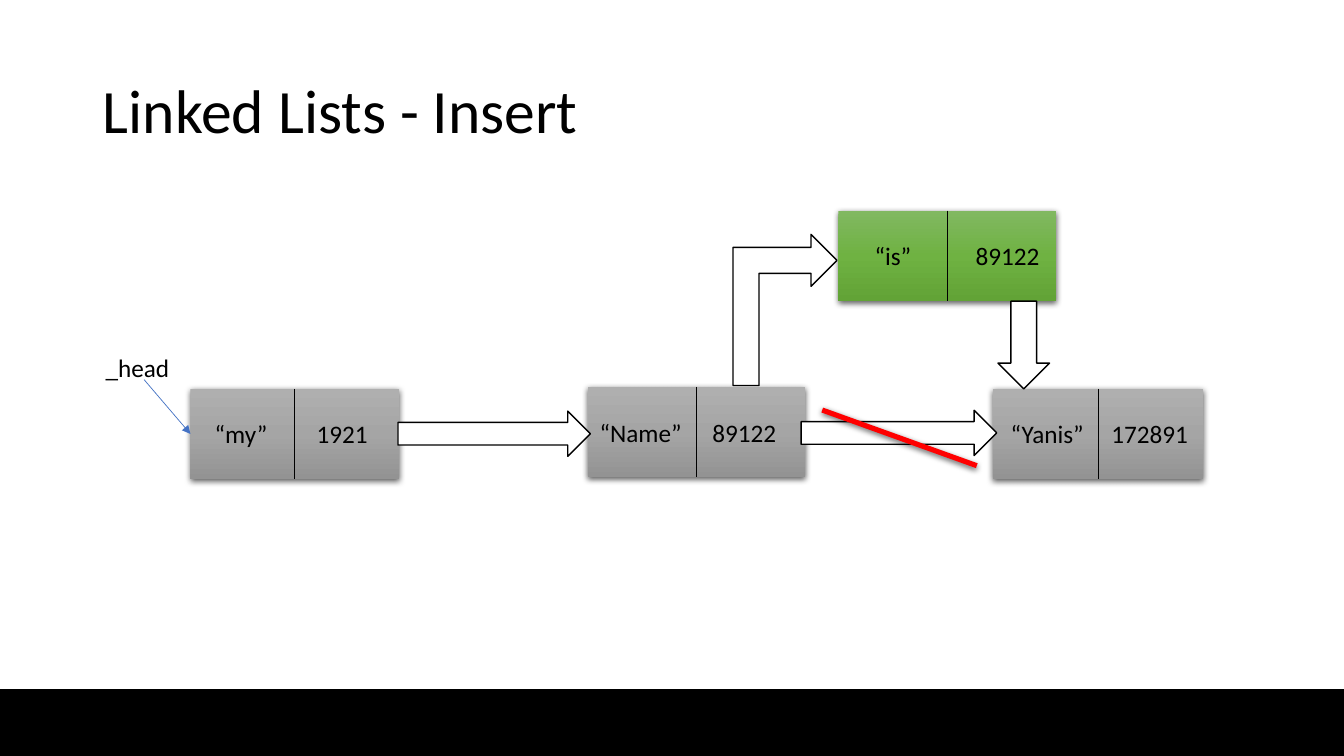
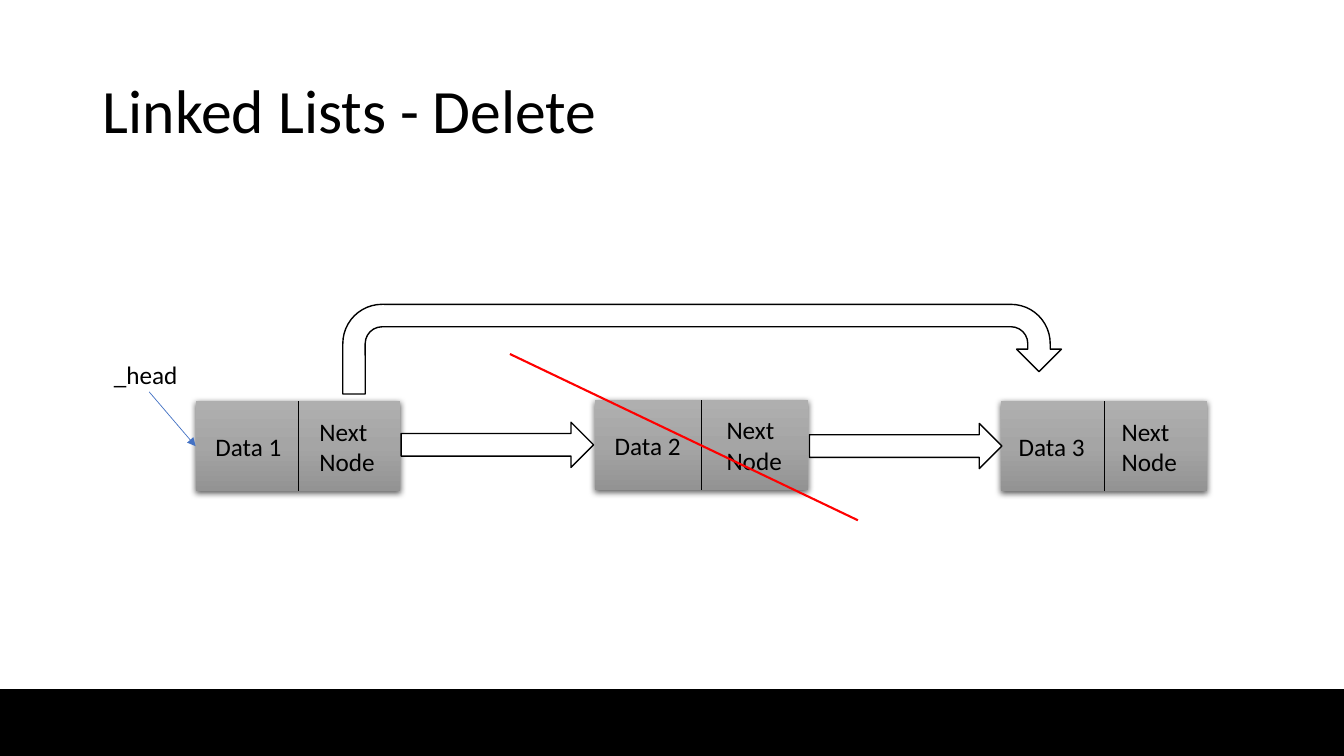
import pptx
import pptx.dml.color
import pptx.enum.shapes
import pptx.enum.text
import pptx.oxml
import pptx.oxml.ns
import pptx.util

Cm = pptx.util.Cm
Pt = pptx.util.Pt
SHAPES = pptx.enum.shapes.MSO_SHAPE
qn = pptx.oxml.ns.qn
NAMESPACE = pptx.oxml.ns.nsdecls("a")

FONT = "Calibri"
COLOURS = {"ink": "000000", "paper": "FFFFFF", "pointer": "4472C4", "strike": "FF0000"}
GRADIENTS = {
    "grey": ("AFAFAF", "A5A5A5", "939393"),
    "green": ("81B861", "6FB242", "62A336"),
}

# All lengths are centimetres.
SLIDE_SIZE = (33.87, 19.05)
TITLE_BOX = (2.34, 1.02, 29.21, 3.68)
BAND_BOX = (0, 17.37, 33.87, 1.68)
NODE_HEIGHT = 2.27
POINTER_RUN = (1.17, 1.37)
HEAD_LABEL_SIZE = (3.86, 1.02)

# nodes: left, top, width, gradient, ((text, indent) for each half)
# arrows: preset shape, box, rotation, flipped
SLIDES = [
    {
        "title": "Linked Lists - Insert",
        "head_label": (2.41, 8.74),
        "nodes": [
            (4.8, 9.8, 5.26, "grey", (("“my”", 0.36), ("1921", 0.3))),
            (14.81, 9.75, 5.49, "grey", (("“Name”", 0.05), ("89122", 0.15))),
            (25.02, 9.8, 5.31, "grey", (("“Yanis”", 0.2), ("172891", 0.08))),
            (21.13, 5.31, 5.49, "green", (("“is”", 0.66), ("89122", 0.46))),
        ],
        "arrows": [
            (SHAPES.RIGHT_ARROW, (10.03, 10.36, 4.85, 1.14), 0, False),
            (SHAPES.RIGHT_ARROW, (20.19, 10.34, 4.93, 1.14), 0, False),
            (SHAPES.BENT_UP_ARROW, (17.88, 6.5, 3.81, 2.62), 90, True),
            (SHAPES.DOWN_ARROW, (25.15, 7.59, 1.3, 2.21), 0, False),
        ],
        "strike_bar": ((20.6, 10.97, 4.14, 0.13), 19.8),
    },
    {
        "title": "Linked Lists - Delete",
        "head_label": (2.62, 8.92),
        "nodes": [
            (4.93, 10.11, 5.16, "grey", (("Data 1", 0.25), ("Next Node", 0.29))),
            (14.99, 10.08, 5.38, "grey", (("Data 2", 0.25), ("Next Node", 0.38))),
            (25.22, 10.11, 5.21, "grey", (("Data 3", 0.2), ("Next Node", 0.19))),
        ],
        "arrows": [
            (SHAPES.RIGHT_ARROW, (10.11, 10.64, 4.85, 1.14), 0, False),
            (SHAPES.RIGHT_ARROW, (20.4, 10.67, 4.85, 1.14), 0, False),
            (SHAPES.U_TURN_ARROW, (8.64, 7.67, 18.11, 2.26), 0, False),
        ],
        "strike_line": (12.85, 8.92, 21.62, 13.11),
    },
]


def lengths(values):
    return [Cm(value) for value in values]


def rgb(name):
    return pptx.dml.color.RGBColor.from_string(COLOURS[name])


def style_text(paragraph, size):
    paragraph.font.name = FONT
    paragraph.font.size = Pt(size)
    paragraph.font.color.rgb = rgb("ink")


def add_block(slide, preset, box, fill, outline=None):
    shape = slide.shapes.add_shape(preset, *lengths(box))
    shape.shadow.inherit = False
    shape.fill.solid()
    shape.fill.fore_color.rgb = rgb(fill)
    if outline:
        shape.line.color.rgb = rgb(outline)
        shape.line.width = Pt(1)
    else:
        shape.line.fill.background()
    return shape


def add_shadow(shape):
    effects = shape.element.spPr.find(qn("a:effectLst"))
    effects.append(pptx.oxml.parse_xml(
        f'<a:outerShdw {NAMESPACE} blurRad="{Pt(4.5)}" dist="{Pt(1.5)}" dir="5400000" '
        f'algn="ctr" rotWithShape="0"><a:srgbClr val="{COLOURS["ink"]}">'
        '<a:alpha val="63000"/></a:srgbClr></a:outerShdw>'))


def fill_gradient(shape, colours):
    """Fill from top to bottom with three evenly spaced colours."""
    stops = "".join(
        f'<a:gs pos="{index * 50000}"><a:srgbClr val="{colour}"/></a:gs>'
        for index, colour in enumerate(colours))
    properties = shape.element.spPr
    properties.replace(properties.find(qn("a:solidFill")), pptx.oxml.parse_xml(
        f'<a:gradFill {NAMESPACE} rotWithShape="1"><a:gsLst>{stops}</a:gsLst>'
        '<a:lin ang="5400000" scaled="0"/></a:gradFill>'))


def add_line(slide, ends, colour, width, arrowhead=False):
    line = slide.shapes.add_connector(
        pptx.enum.shapes.MSO_CONNECTOR.STRAIGHT, *lengths(ends))
    line.line.color.rgb = rgb(colour)
    line.line.width = Pt(width)
    properties = line.element.spPr
    if arrowhead:
        properties.find(qn("a:ln")).append(
            pptx.oxml.parse_xml(f'<a:tailEnd {NAMESPACE} type="triangle"/>'))
    properties.append(pptx.oxml.parse_xml(f"<a:effectLst {NAMESPACE}/>"))


def add_label(slide, text, box):
    frame = slide.shapes.add_textbox(*lengths(box)).text_frame
    frame.word_wrap = True
    frame.vertical_anchor = pptx.enum.text.MSO_ANCHOR.MIDDLE
    frame.text = text
    style_text(frame.paragraphs[0], 18)


def add_node(slide, left, top, width, gradient, halves):
    node = add_block(slide, SHAPES.RECTANGLE, (left, top, width, NODE_HEIGHT), "paper")
    fill_gradient(node, GRADIENTS[gradient])
    add_shadow(node)
    half = width / 2
    add_line(slide, (left + half, top, left + half, top + NODE_HEIGHT), "ink", 0.5)
    for index, (text, indent) in enumerate(halves):
        add_label(slide, text, (left + index * half + indent, top, half, NODE_HEIGHT))


def add_arrow(slide, preset, box, rotation, flipped):
    arrow = add_block(slide, preset, box, "paper", "ink")
    arrow.rotation = rotation
    if flipped:
        arrow.element.spPr.find(qn("a:xfrm")).set("flipH", "1")


def add_head_pointer(slide, label_position, first_node):
    end_x, end_y = first_node[0], first_node[1] + NODE_HEIGHT / 2
    run_x, run_y = POINTER_RUN
    add_line(slide, (end_x - run_x, end_y - run_y, end_x, end_y), "pointer", 0.5, True)
    add_label(slide, "_head", label_position + HEAD_LABEL_SIZE)


def place_title(title):
    title.left, title.top, title.width, title.height = lengths(TITLE_BOX)


def add_slide(presentation, layout, content):
    slide = presentation.slides.add_slide(layout)
    title = slide.shapes.title
    title.text_frame.text = content["title"]
    paragraph = title.text_frame.paragraphs[0]
    paragraph.alignment = pptx.enum.text.PP_ALIGN.LEFT
    paragraph.line_spacing = 0.9
    style_text(paragraph, 44)

    for node in content["nodes"]:
        add_node(slide, *node)
    for arrow in content["arrows"]:
        add_arrow(slide, *arrow)
    add_head_pointer(slide, content["head_label"], content["nodes"][0])
    if "strike_bar" in content:
        box, rotation = content["strike_bar"]
        bar = add_block(slide, SHAPES.RECTANGLE, box, "strike")
        bar.rotation = rotation
        add_shadow(bar)
    if "strike_line" in content:
        add_line(slide, content["strike_line"], "strike", 1.5)
    return slide


def main():
    presentation = pptx.Presentation()
    presentation.slide_width, presentation.slide_height = lengths(SLIDE_SIZE)
    layout = presentation.slide_layouts.get_by_name("Title Only")
    place_title(layout.placeholders[0])
    slides = [add_slide(presentation, layout, content) for content in SLIDES]

    # The band is drawn once and moved to the layout that both slides share.
    band = add_block(slides[0], SHAPES.RECTANGLE, BAND_BOX, "ink", "ink")
    layout.shapes.element.append(band.element)
    presentation.save("out.pptx")


if __name__ == "__main__":
    main()
